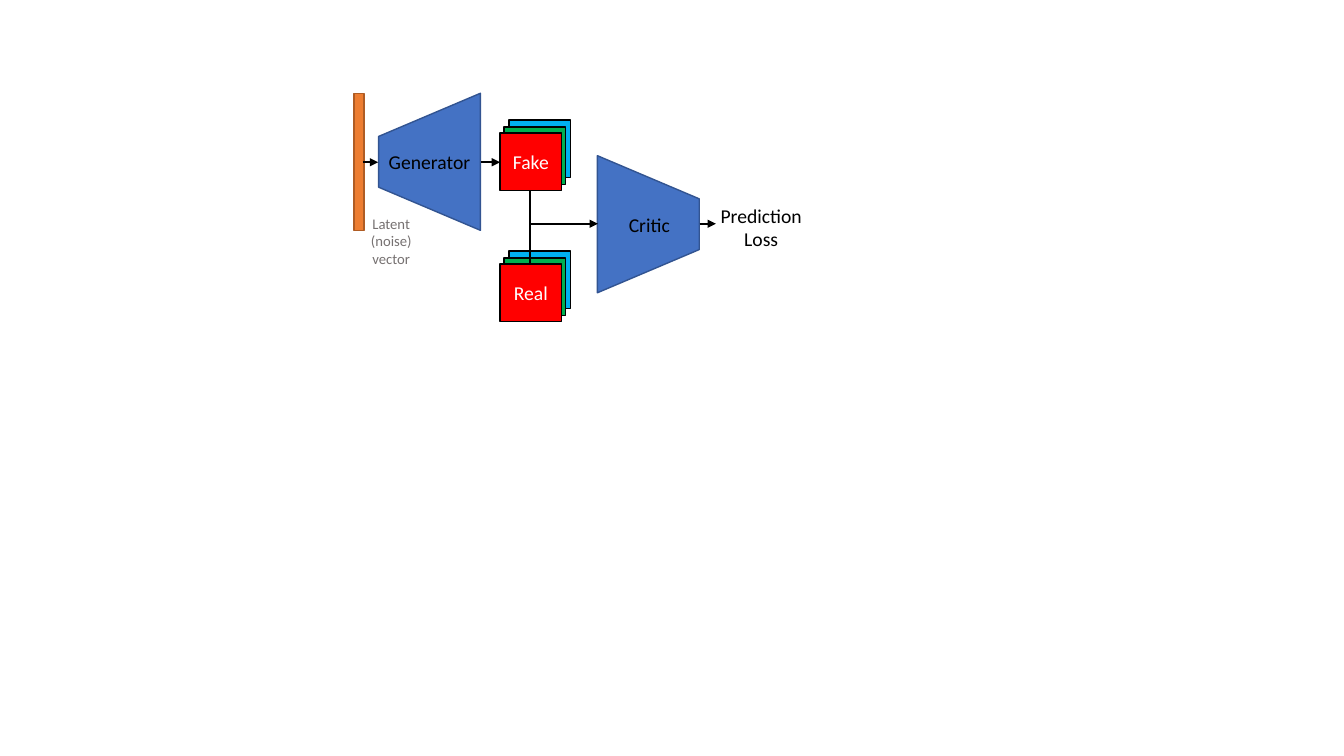
from pptx import Presentation
from pptx.dml.color import RGBColor
from pptx.enum.shapes import MSO_CONNECTOR, MSO_SHAPE
from pptx.enum.text import MSO_ANCHOR, MSO_AUTO_SIZE, PP_ALIGN
from pptx.oxml.ns import qn
from pptx.util import Inches, Pt
from lxml import etree

RECT, TRAP = MSO_SHAPE.RECTANGLE, MSO_SHAPE.TRAPEZOID
LINE = MSO_CONNECTOR.STRAIGHT
MIDDLE, TOP = MSO_ANCHOR.MIDDLE, MSO_ANCHOR.TOP
CENTER, GROW = PP_ALIGN.CENTER, MSO_AUTO_SIZE.SHAPE_TO_FIT_TEXT

THEME = {
    "font": "Calibri", "body": 14, "note": 10.5, "edge": 1, "wire": 1.5,
    "black": "000000", "white": "FFFFFF", "gray": "767171",
    "red": "FF0000", "green": "00B050", "sky": "00B0F0",
    "blue": "4472C4", "navy": "325491", "orange": "ED7D31", "rust": "AF5C24",
}

LATENT = (3.51, 0.93, 0.1, 1.36)
NETS = [(3.58, 1.1, 270), (5.75, 1.72, 90)]
NET_SIZE, SLOPE = (1.36, 1.01), 0.424
STACKS = [("Real", 4.96, 2.62), ("Fake", 4.96, 1.32)]
TILE = (0.61, 0.57)
LAYERS = [("sky", 0.09, -0.13), ("green", 0.04, -0.06), ("red", 0, 0)]
LABELS = [
    (["Critic"], (6.13, 2.06, 0.62, 0.34), False, "body", "black"),
    (["Generator"], (3.75, 1.44, 1.02, 0.34), False, "body", "black"),
    (["Latent (noise) vector"], (3.57, 2.08, 0.62, 0.63), True, "note", "gray"),
    (["Prediction", "Loss"], (6.97, 1.97, 1.16, 0.57), True, "body", "black"),
]
ROW, MERGE, DROP = 1.61, 2.22, 5.26
ARROWS = [(DROP, 5.93, MERGE), (3.6, 3.75, ROW), (6.94, 7.1, MERGE), (4.77, 4.96, ROW)]


def color(name):
    return RGBColor.from_string(THEME[name])


def write(shape, lines, size="body", ink="black", anchor=TOP, wrap=True):
    frame = shape.text_frame
    frame.word_wrap = wrap
    frame.vertical_anchor = anchor
    frame.text = "\n".join(lines)
    for para in frame.paragraphs:
        para.alignment = CENTER
        font = para.runs[0].font
        font.name, font.size = THEME["font"], Pt(THEME[size])
        font.color.rgb = color(ink)


def block(slide, kind, box, fill, edge):
    shape = slide.shapes.add_shape(kind, *map(Inches, box))
    shape.shadow.inherit = False
    shape.fill.solid()
    shape.fill.fore_color.rgb = color(fill)
    shape.line.color.rgb = color(edge)
    shape.line.width = Pt(THEME["edge"])
    return shape


def wire(slide, start, end, arrow=True):
    link = slide.shapes.add_connector(LINE, *map(Inches, start + end))
    link.line.color.rgb = color("black")
    link.line.width = Pt(THEME["wire"])
    props = link._element.spPr
    if arrow:
        etree.SubElement(props.find(qn("a:ln")), qn("a:tailEnd"), type="triangle")
    etree.SubElement(props, qn("a:effectLst"))


def main():
    deck = Presentation()
    deck.slide_width, deck.slide_height = Inches(13.33), Inches(7.5)
    slide = deck.slides.add_slide(deck.slide_layouts[6])

    block(slide, RECT, LATENT, "orange", "rust")
    for left, top, turn in NETS:
        net = block(slide, TRAP, (left, top, *NET_SIZE), "blue", "navy")
        net.rotation = turn
        net.adjustments[0] = SLOPE
    for name, left, top in STACKS:
        for fill, dx, dy in LAYERS:
            tile = block(slide, RECT, (left + dx, top + dy, *TILE), fill, "black")
        write(tile, [name], ink="white", anchor=MIDDLE)
    for lines, box, wrap, size, ink in LABELS:
        label = slide.shapes.add_textbox(*map(Inches, box))
        write(label, lines, size=size, ink=ink, wrap=wrap)
        label.text_frame.auto_size = GROW
    wire(slide, (DROP, 1.89), (DROP, 2.62), arrow=False)
    for start, end, y in ARROWS:
        wire(slide, (start, y), (end, y))

    deck.save("out.pptx")


if __name__ == "__main__":
    main()
